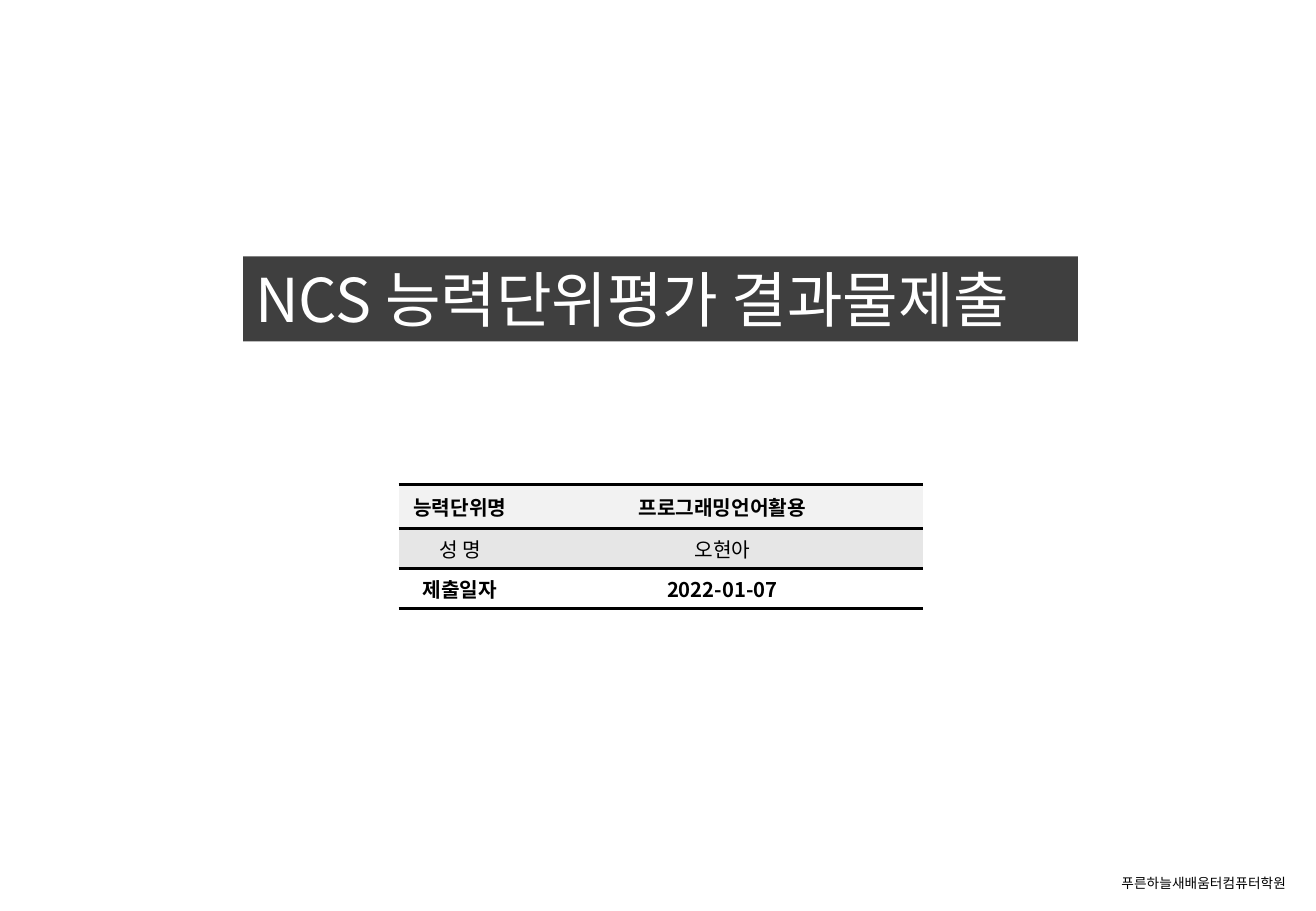
from pptx import Presentation
from pptx.dml.color import RGBColor
from pptx.enum.text import MSO_ANCHOR, MSO_AUTO_SIZE, PP_ALIGN
from pptx.oxml import parse_xml
from pptx.oxml.ns import nsdecls
from pptx.util import Inches, Pt

LEFT, CENTER = PP_ALIGN.LEFT, PP_ALIGN.CENTER
MIDDLE, FIXED = MSO_ANCHOR.MIDDLE, MSO_AUTO_SIZE.NONE

BLACK = RGBColor(0x00, 0x00, 0x00)
WHITE = RGBColor(0xFF, 0xFF, 0xFF)
CHARCOAL = RGBColor(0x3F, 0x3F, 0x3F)
HEADER_GREY = RGBColor(0xF2, 0xF2, 0xF2)
BAND_GREY = RGBColor(0xE6, 0xE6, 0xE6)
NOTO = "Noto Sans CJK KR"
PLAIN_TABLE = "{2D5ABB26-0587-4C30-8999-92F81FD0307C}"


def write(frame, text, align, face, **formats):
    para = frame.paragraphs[0]
    para.alignment = align
    span = para.add_run()
    span.text = text
    span.font.name = face
    span.font.color.rgb = formats.pop("color")
    for name, value in formats.items():
        setattr(span.font, name, value)
    # Hangul takes its face from the East Asian font slot
    span.font._element.append(
        parse_xml(f'<a:ea {nsdecls("a")} typeface="{NOTO}"/>'))


def place(box, left, top, width, height):
    box.left, box.top = Inches(left), Inches(top)
    box.width, box.height = Inches(width), Inches(height)
    frame = box.text_frame
    frame.word_wrap, frame.auto_size = True, FIXED
    frame.vertical_anchor = MIDDLE
    return frame


deck = Presentation()
deck.slide_width, deck.slide_height = Inches(10.83), Inches(7.5)
page = deck.slides.add_slide(deck.slide_layouts[5])

# Title bar
title = page.shapes.title
title.fill.solid()
title.fill.fore_color.rgb = CHARCOAL
write(place(title, 2, 2.11, 6.87, 0.7), "NCS 능력단위평가 결과물제출",
      LEFT, NOTO, size=Pt(35.8), bold=False, color=WHITE)

# Submission table: texts, face, bold, fill, ruled edges
ROWS = [
    (("능력단위명", "프로그래밍언어활용"), "Arial", True, HEADER_GREY, ("lnT", "lnB")),
    (("성 명", "오현아"), NOTO, False, BAND_GREY, ("lnT",)),
    (("제출일자", "2022-01-07"), NOTO, True, WHITE, ("lnB",)),
]
holder = page.shapes.add_table(len(ROWS), 2, Inches(3.28), Inches(3.99),
                               Inches(4.32), Inches(1.02))
table = holder.table
table._tbl.tblPr.find("{*}tableStyleId").text = PLAIN_TABLE
for column, width in zip(table.columns, (1.01, 3.31)):
    column.width = Inches(width)
for row, height in zip(table.rows, (0.36, 0.33, 0.33)):
    row.height = Inches(height)

for row, (texts, face, bold, fill, edges) in zip(table.rows, ROWS):
    for cell, text in zip(row.cells, texts):
        cell.vertical_anchor = MIDDLE
        cell.margin_left = cell.margin_right = Inches(0.08)
        cell.margin_top = cell.margin_bottom = Inches(0.04)
        for edge in edges:
            cell._tc.get_or_add_tcPr().append(parse_xml(
                f'<a:{edge} {nsdecls("a")} w="{Pt(2)}"><a:solidFill>'
                f'<a:srgbClr val="{BLACK}"/></a:solidFill></a:{edge}>'))
        cell.fill.solid()
        cell.fill.fore_color.rgb = fill
        write(cell.text_frame, text, CENTER, face,
              size=Pt(12), bold=bold, color=BLACK)

# Academy name in the corner
academy = page.shapes.add_textbox(0, 0, 0, 0)
write(place(academy, 9.13, 7.15, 1.68, 0.24), "푸른하늘새배움터컴퓨터학원",
      LEFT, NOTO, size=Pt(8.1), color=BLACK)

deck.save("out.pptx")
